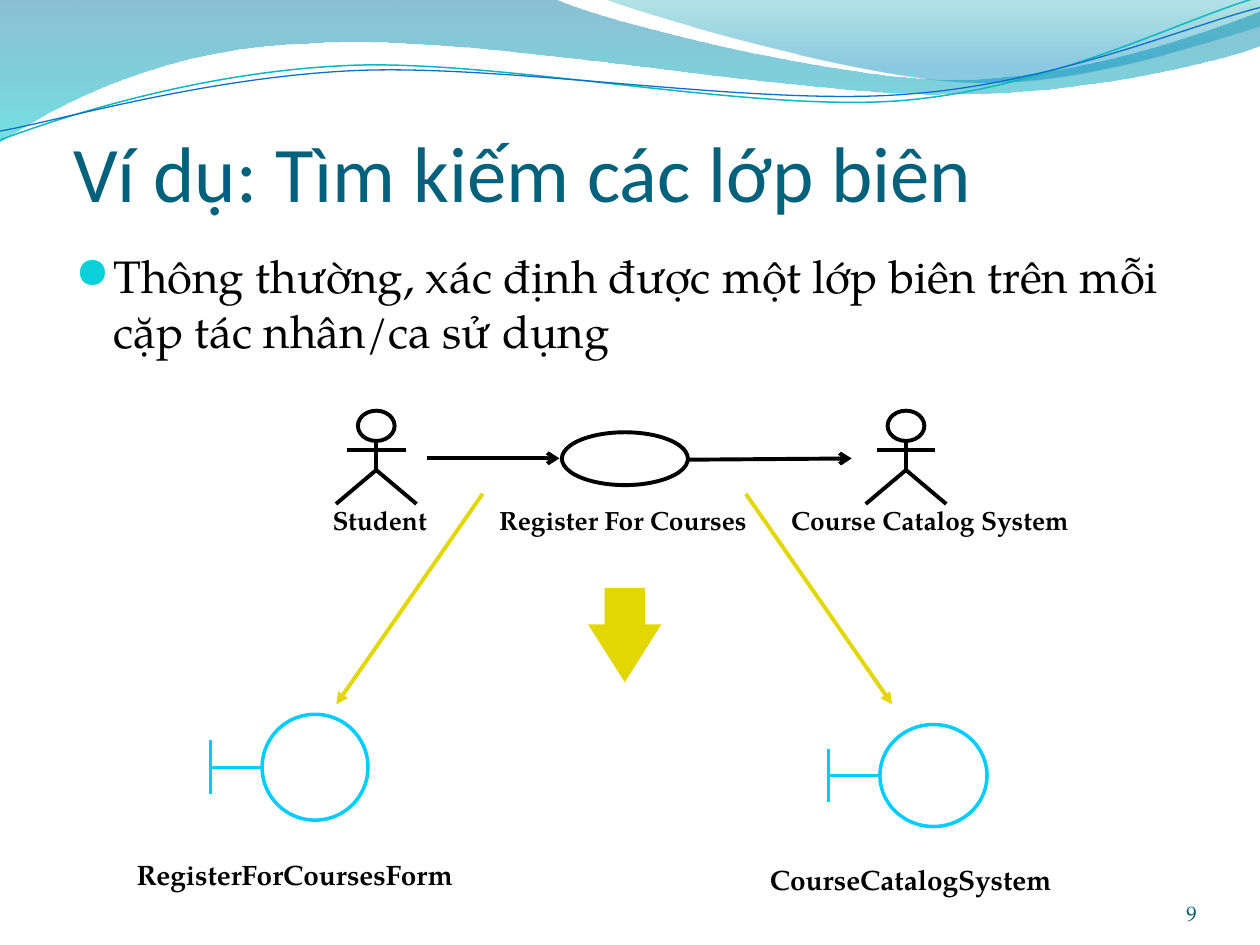
import math

import pptx
import pptx.dml.color
import pptx.enum.shapes
import pptx.enum.text
import pptx.oxml
import pptx.oxml.ns
import pptx.util
from lxml import etree

Pt = pptx.util.Pt
qn = pptx.oxml.ns.qn
SHAPES = pptx.enum.shapes.MSO_SHAPE
ALIGN = pptx.enum.text.PP_ALIGN
ANCHOR = pptx.enum.text.MSO_ANCHOR

# Content
TITLE = "Ví dụ: Tìm kiếm các lớp biên"
BODY = "Thông thường, xác định được một lớp biên trên mỗi cặp tác nhân/ca sử dụng"
PAGE = "9"
SERIF = "TeX Gyre Pagella"
COLORS = {"title": "04617B", "page": "045D75", "text": "000000", "bullet": "0BD0D9",
          "ink": "000000", "yellow": "E2D700", "boundary": "00CCFF",
          "teal": "0AB8BF", "blue": "0F6FC6", "deep": "0074A1", "aqua": "00C6CF",
          "sea": "00A1A9", "sky": "008BBF"}

# Bands: gradient stops (position, colour, opacity in percent), then the
# start and the segments of one point (straight) or three (Bezier)
BANDS = [
    ([(0, "deep", 45), (1, "aqua", 55)],
     ([(0, 0)], [(317, -0.7)], [(343, 12), (478, 45.4), (546, 45.4)],
      [(614, 45.4), (690, 18.7), (720, 6.5)], [(721, 26)],
      [(708, 31.7), (626, 54.7), (537, 54)], [(447, 54), (275, 20), (185, 24.5)],
      [(93, 26), (33, 60), (-0.7, 81.4)])),
    ([(0, "sea", 30), (0.8, "sky", 45)],
     ([(345, -0.7)], [(366.5, 8), (491, 44.6), (553.7, 46.8)],
      [(616, 49.7), (692, 23), (720, 15)], [(720, 0)])),
]
# Waves: colour, width, centre of the turn, segments
WAVES = [
    ("teal", 0.85, (359.3, 41.4),
     ([(0, 80)], [(34.6, 67), (113.8, 41), (199.4, 37.4)],
      [(284.4, 33.8), (427, 64), (513.4, 57.6)],
      [(599.8, 51), (675.4, 10.8), (718.6, -1.4)])),
    ("blue", 0.75, (359.6, 42.5),
     ([(0, 74.9)], [(33.8, 69), (118, 44), (203.8, 40.3)],
      [(290, 36.7), (430, 60.5), (516, 54)],
      [(602, 48.2), (677.5, 15), (720, 4.3)])),
]
WAVE_TURN = -2.7

ACTOR_CENTERS = [215, 517.7]
CAPTIONS = [("Student", 217, 194), ("Register For Courses", 356, 181),
            ("Course Catalog System", 531.4, 194)]  # text, centre, width
ARROWS = [  # from, to, colour, head
    ((244, 261.9), (319.7, 261.9), "ink", "arrow"),
    ((393.1, 262.7), (486.7, 262), "ink", "arrow"),
    ((275.8, 282.2), (192.2, 402.5), "yellow", "triangle"),
    ((426.2, 282.2), (509.8, 402.5), "yellow", "triangle"),
]
BOUNDARIES = [  # circle box, label, label box
    ((149.8, 408.2, 60.5, 60.5), "RegisterForCoursesForm", (78, 490.3, 193.7, 19.4)),
    ((502.8, 414, 61.2, 58.3), "CourseCatalogSystem", (440, 492.9, 170.6, 19.4)),
]

prs = pptx.Presentation()
prs.slide_width, prs.slide_height = Pt(720), Pt(540)
slide = prs.slides.add_slide(prs.slide_layouts[6])


def rgb(name):
    return pptx.dml.color.RGBColor.from_string(COLORS[name])


def turn(point, center, degrees):
    c, s = math.cos(math.radians(degrees)), math.sin(math.radians(degrees))
    dx, dy = point[0] - center[0], point[1] - center[1]
    return center[0] + dx * c - dy * s, center[1] + dx * s + dy * c


def stroke(part, color, width):
    part.line.color.rgb = rgb(color)
    part.line.width = Pt(width)


def outline(segments, close=False):
    """Draw straight segments (one point) and Bezier segments (three)."""
    anchors = [(Pt(x), Pt(y)) for x, y in (segment[-1] for segment in segments)]
    builder = slide.shapes.build_freeform(*anchors[0])
    builder.add_line_segments(anchors[1:], close=close)
    part = builder.convert_to_shape()
    part.shadow.inherit = False
    part.fill.background()
    edges = list(part._element.spPr.iter(qn("a:lnTo")))
    for edge, segment in zip(edges, segments[1:]):
        if len(segment) == 3:
            curve = etree.Element(qn("a:cubicBezTo"))
            for x, y in segment:
                etree.SubElement(curve, qn("a:pt"), x=str(Pt(x) - part.left),
                                 y=str(Pt(y) - part.top))
            edge.getparent().replace(edge, curve)
    return part


def ellipse(box, color, width):
    part = slide.shapes.add_shape(SHAPES.OVAL, *map(Pt, box))
    part.shadow.inherit = False
    part.fill.background()
    stroke(part, color, width)


def line(start, end, color, width, head=None):
    part = slide.shapes.add_connector(
        pptx.enum.shapes.MSO_CONNECTOR.STRAIGHT, *map(Pt, start + end))
    stroke(part, color, width)
    if head:
        etree.SubElement(part.line._get_or_add_ln(), qn("a:tailEnd"), type=head)
    etree.SubElement(part._element.spPr, qn("a:effectLst"))


def text(words, box, size, color="text", font=SERIF, bold=False, align=ALIGN.LEFT,
         anchor=ANCHOR.TOP, insets=(0, 0, 0, 0), wrap=True, bullet=False):
    frame = slide.shapes.add_textbox(*map(Pt, box)).text_frame
    frame.word_wrap = wrap
    frame.vertical_anchor = anchor
    (frame.margin_left, frame.margin_top,
     frame.margin_right, frame.margin_bottom) = map(Pt, insets)
    paragraph = frame.paragraphs[0]
    paragraph.text = words
    paragraph.alignment = align
    if bullet:
        props = paragraph._p.get_or_add_pPr()
        props.set("marL", str(Pt(21.6)))
        props.set("indent", str(Pt(-21.6)))
        ns = pptx.oxml.ns.nsdecls("a")
        for xml in (f'<a:buClr {ns}><a:srgbClr val="{COLORS["bullet"]}"/></a:buClr>',
                    f'<a:buSzPct {ns} val="95000"/>',
                    f'<a:buFont {ns} typeface="OpenSymbol"/>',
                    f'<a:buChar {ns} char="●"/>'):
            props.append(pptx.oxml.parse_xml(xml))
    paragraph.font.size = Pt(size)
    paragraph.font.name = font
    paragraph.font.bold = bold
    paragraph.font.color.rgb = rgb(color)


# Header decoration
for stops, segments in BANDS:
    band = outline(segments, close=True)
    band.line.fill.background()
    band.fill.gradient()
    band.fill.gradient_angle = 270
    for stop, (position, color, _) in zip(band.fill.gradient_stops, stops):
        stop.position = position
        stop.color.rgb = rgb(color)
    tints = band._element.spPr.iter(qn("a:srgbClr"))
    for tint, (_, _, opacity) in zip(tints, stops):
        etree.SubElement(tint, qn("a:alpha"), val=str(opacity * 1000))
for color, width, center, segments in WAVES:
    level = [[turn(point, center, -WAVE_TURN) for point in segment] for segment in segments]
    wave = outline(level)
    wave.rotation = WAVE_TURN
    stroke(wave, color, width)

# Title, page number and statement
text(TITLE, (41.8, 72, 648, 52.6), 45, "title", "Calibri",
     anchor=ANCHOR.BOTTOM, insets=(0, 3.6, 0, 0))
text(PAGE, (624.2, 500.4, 59.8, 28.8), 12, "page", align=ALIGN.RIGHT, anchor=ANCHOR.BOTTOM)
text(BODY, (36, 138.2, 648, 360), 26, insets=(7.2, 3.6, 7.2, 3.6), bullet=True)

# Actors and use case
for x in ACTOR_CENTERS:
    ellipse((x - 10.5, 234.7, 21, 17.3), "ink", 2.25)
    line((x, 252.4), (x, 268.6), "ink", 2.25)
    line((x - 16.8, 257), (x + 16.8, 257), "ink", 2.25)
    legs = [[(x - 23, 288)], [(x, 268.6)], [(x + 23, 288)]]
    stroke(outline(legs), "ink", 2.25)
ellipse((321.1, 247, 72, 30.2), "ink", 2.25)
for words, center, width in CAPTIONS:
    text(words, (center - width / 2, 284.4, width, 25.2), 15, bold=True,
         align=ALIGN.CENTER, insets=(7.2, 3.6, 7.2, 3.6))

# Arrows
for start, end, color, head in ARROWS:
    line(start, end, color, 2.25, head)
block_arrow = slide.shapes.add_shape(SHAPES.RIGHT_ARROW, Pt(330), Pt(342), Pt(54), Pt(41.8))
block_arrow.rotation = 90
block_arrow.shadow.inherit = False
block_arrow.adjustments[0], block_arrow.adjustments[1] = 0.55, 0.79
block_arrow.fill.solid()
block_arrow.fill.fore_color.rgb = rgb("yellow")
block_arrow.line.fill.background()

# Boundary classes
for circle, words, label_box in BOUNDARIES:
    left, top, _, height = circle
    bar, middle = left - 29.4, top + height / 2
    ellipse(circle, "boundary", 2)
    line((bar, middle - 15.3), (bar, middle + 15.3), "boundary", 2)
    line((bar, middle), (left, middle), "boundary", 2)
    text(words, label_box, 16, bold=True, wrap=False)

prs.save("out.pptx")
